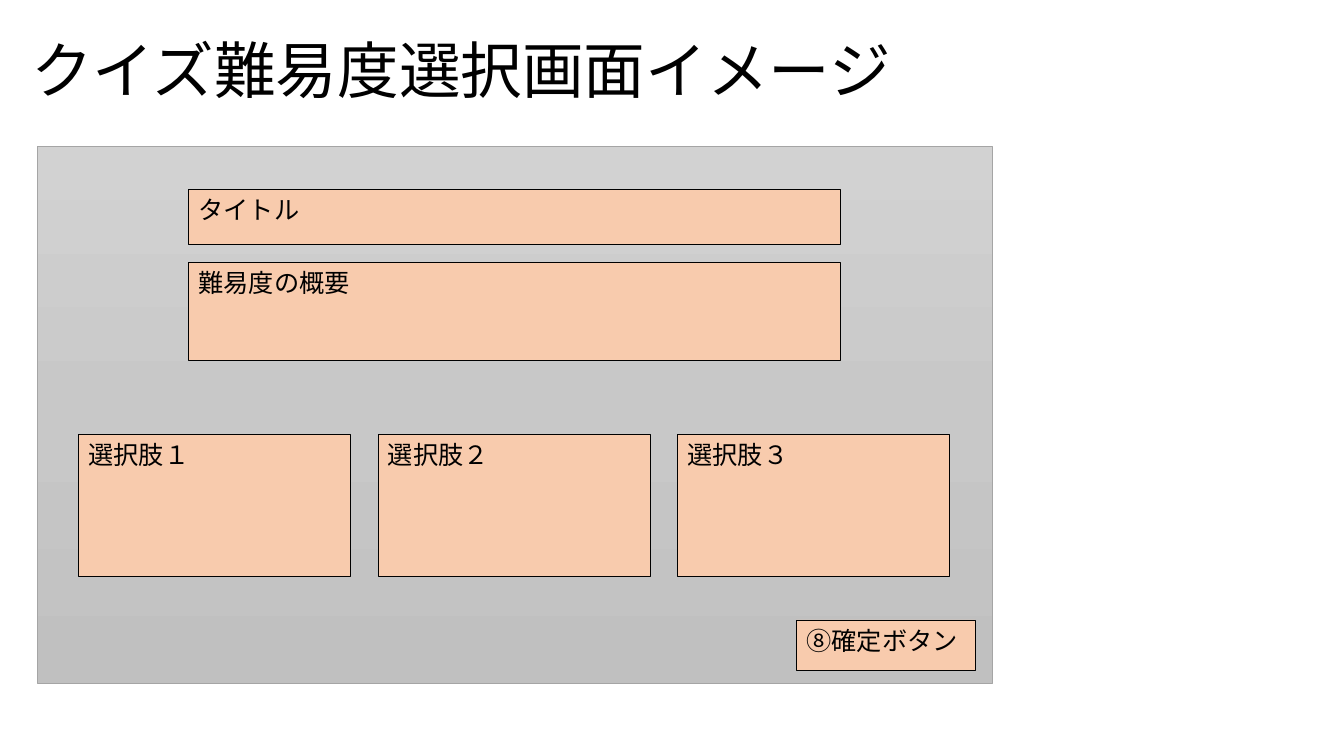
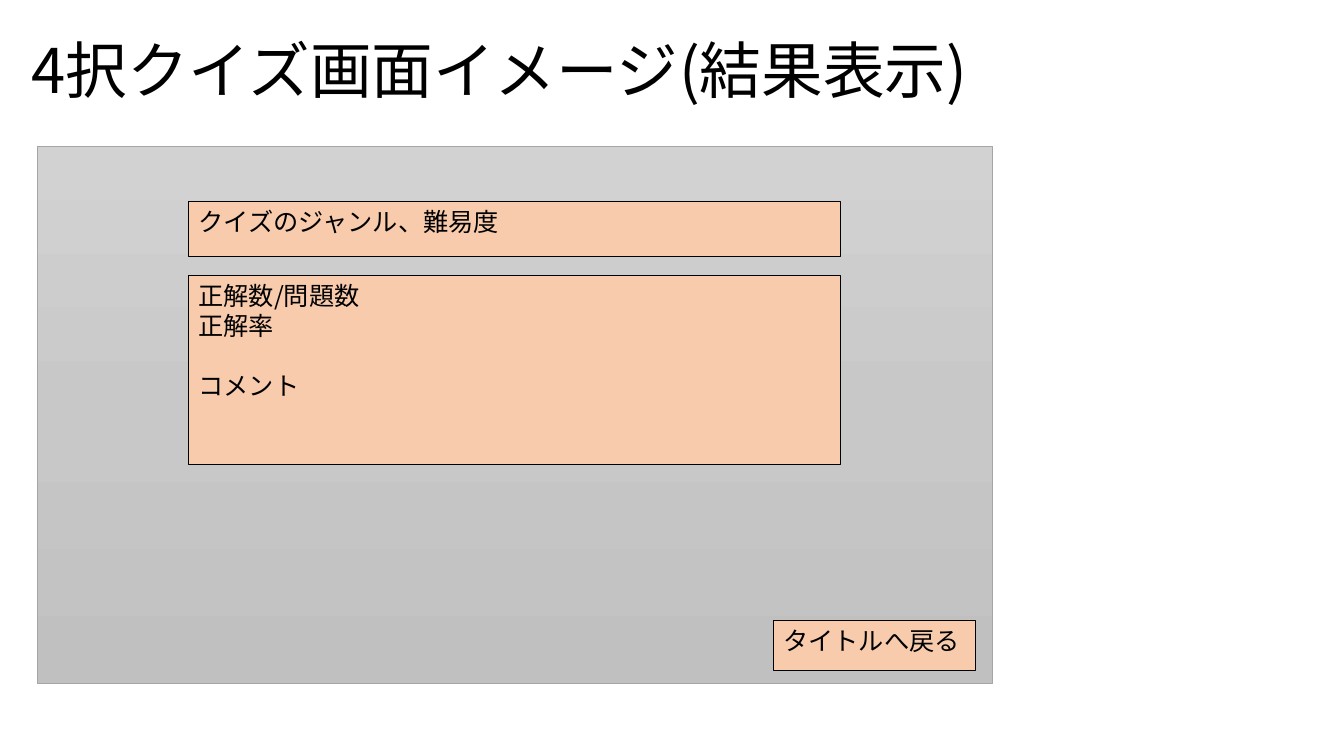
"""Build two quiz screen mock-up slides."""
from copy import deepcopy
from lxml.etree import SubElement
from pptx import Presentation
from pptx.dml.color import RGBColor
from pptx.enum.shapes import MSO_SHAPE
from pptx.enum.text import MSO_ANCHOR, PP_ALIGN
from pptx.oxml.ns import qn
from pptx.util import Pt

PX = 9144
FONT = "Noto Sans CJK JP"
COLORS = {
    "top": "D2D2D2", "mid": "C8C8C8", "low": "C0C0C0",
    "rim": "A5A5A5", "box": "F8CBAD", "ink": "000000",
}
TITLE = (21, 0, 1150, 145)
PANEL = (37, 145, 947, 533)
LEFT, WIDTH, HEAD = 187, 647, 54
RIGHT, BASE, TALL = 967, 615, 50
CARD, GAP, ROW, HIGH = 270, 27, 431, 141

SCREENS = [
    {
        "title": "クイズ難易度選択画面イメージ",
        "head": ("タイトル", 188),
        "body": (["難易度の概要"], 260, 98),
        "cards": ["選択肢１", "選択肢２", "選択肢３"],
        "button": ("⑧確定ボタン", 177),
    },
    {
        "title": "4択クイズ画面イメージ(結果表示)",
        "head": ("クイズのジャンル、難易度", 200),
        "body": (["正解数/問題数", "正解率", "コメント"], 273, 188),
        "cards": [],
        "button": ("タイトルへ戻る", 200),
    },
]
SPACED = {"コメント": Pt(21.5)}


def tint(name):
    return RGBColor.from_string(COLORS[name])


def place(shape, area):
    shape.left, shape.top, shape.width, shape.height = (n * PX for n in area)


def style(frame, size):
    for para in frame.paragraphs:
        para.alignment = PP_ALIGN.LEFT
        for run in para.runs:
            run.font.size = Pt(size)
            run.font.name = FONT
            run.font.color.rgb = tint("ink")
            props = run.font._element
            props.set("lang", "ja-JP")
            SubElement(props, qn("a:ea")).set("typeface", FONT)


def add_rect(slide, area, line):
    shape = slide.shapes.add_shape(
        MSO_SHAPE.RECTANGLE, *(n * PX for n in area))
    shape.shadow.inherit = False
    shape.line.color.rgb = tint(line)
    shape.line.width = Pt(0.5)
    return shape


def add_panel(slide):
    fill = add_rect(slide, PANEL, "rim").fill
    fill.gradient()
    fill.gradient_angle = 270
    first = fill.gradient_stops[0]._gs
    first.addnext(deepcopy(first))
    for stop, name, pos in zip(
            fill.gradient_stops, ("top", "mid", "low"), (0, 0.5, 1)):
        stop.color.rgb = tint(name)
        stop.position = pos


def add_box(slide, lines, *area):
    shape = add_rect(slide, area, "ink")
    shape.fill.solid()
    shape.fill.fore_color.rgb = tint("box")
    frame = shape.text_frame
    frame.word_wrap = True
    frame.vertical_anchor = MSO_ANCHOR.TOP
    frame.text = "\n".join(lines)
    style(frame, 18)
    for para in frame.paragraphs:
        para.space_before = SPACED.get(para.text, Pt(0))


def add_title(slide, text):
    title = slide.shapes.title
    place(title, TITLE)
    frame = title.text_frame
    frame.text = text
    frame.word_wrap = True
    frame.vertical_anchor = MSO_ANCHOR.MIDDLE
    frame.paragraphs[0].line_spacing = 0.9
    style(frame, 44)


def add_screen(deck, screen):
    slide = deck.slides.add_slide(deck.slide_layouts[5])
    add_title(slide, screen["title"])
    add_panel(slide)
    text, top = screen["head"]
    add_box(slide, [text], LEFT, top, WIDTH, HEAD)
    lines, top, height = screen["body"]
    add_box(slide, lines, LEFT, top, WIDTH, height)
    cards = screen["cards"]
    span = len(cards) * (CARD + GAP) - GAP
    start = PANEL[0] + (PANEL[2] - span) // 2
    for i, text in enumerate(cards):
        add_box(slide, [text], start + i * (CARD + GAP), ROW, CARD, HIGH)
    text, width = screen["button"]
    add_box(slide, [text], RIGHT - width, BASE, width, TALL)


def main():
    deck = Presentation()
    deck.slide_width, deck.slide_height = 1333 * PX, 750 * PX
    for screen in SCREENS:
        add_screen(deck, screen)
    deck.save("out.pptx")


if __name__ == "__main__":
    main()
